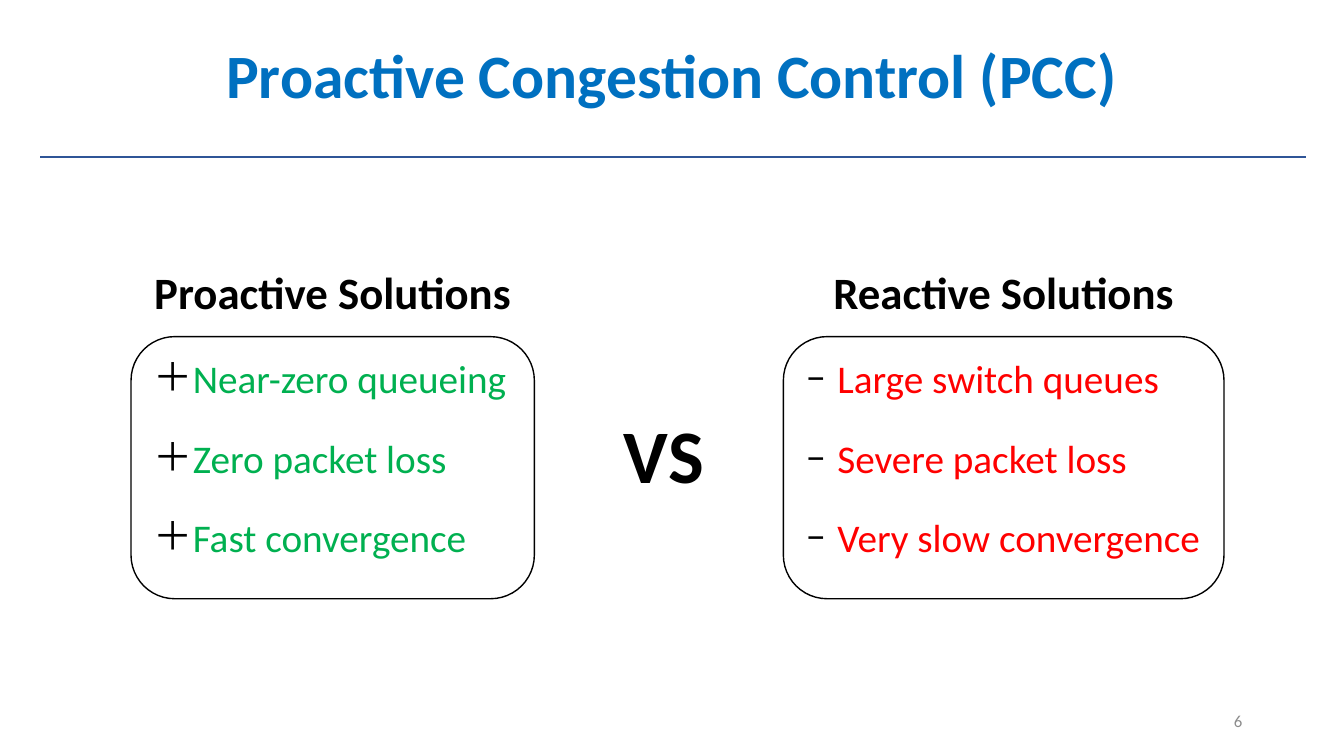
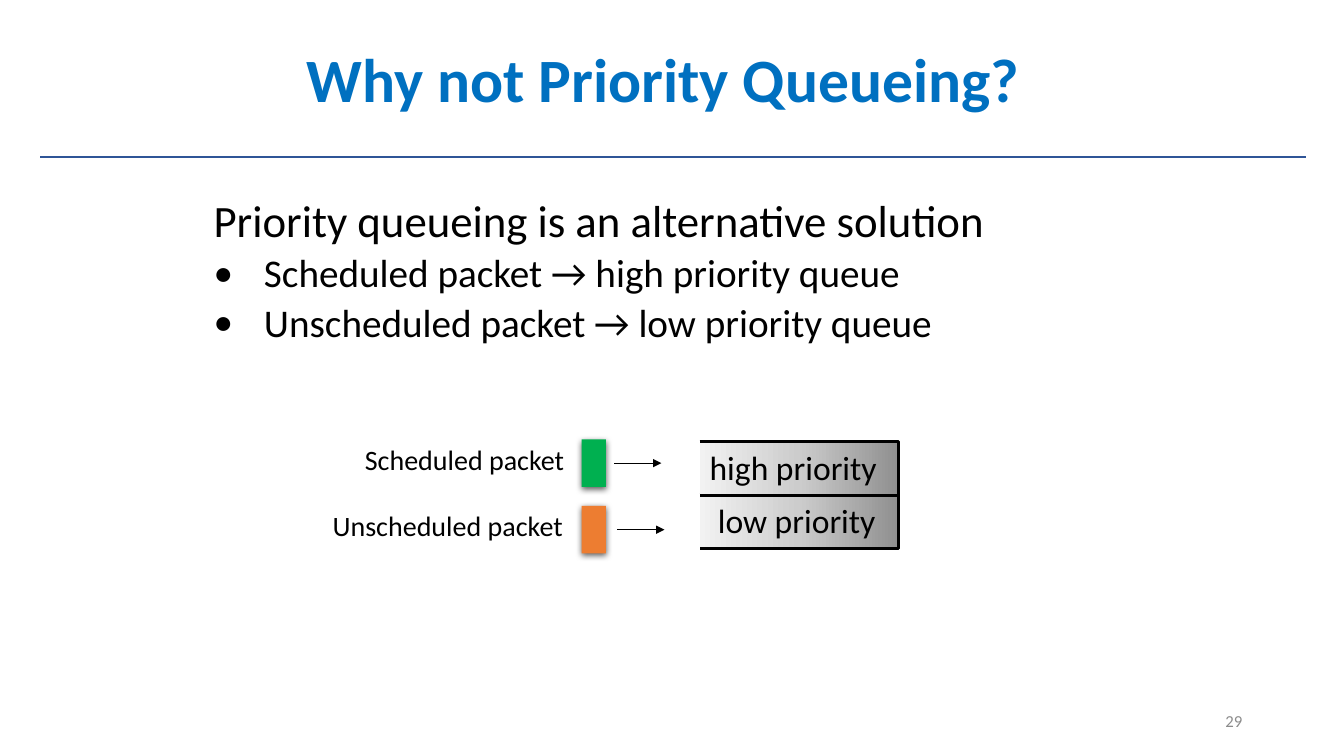
from lxml.etree import SubElement
from pptx import Presentation
from pptx.dml.color import RGBColor
from pptx.enum.shapes import MSO_CONNECTOR, MSO_SHAPE
from pptx.enum.text import MSO_ANCHOR, PP_ALIGN
from pptx.oxml.ns import qn
from pptx.util import Inches, Pt

FONT = "Calibri"
BLACK = "000000"
WHITE = "FFFFFF"
BLUE = "0070C0"
NAVY = "2F5597"
GREY = "8C8C8C"
GREEN = "00B050"
RED = "FF0000"
AMBER = "ED7D31"
FADE = [(0, "909090"), (50, "CCCCCC"), (100, "F2F2F2")]
LEFT = {"alignment": PP_ALIGN.LEFT}
MID = {"alignment": PP_ALIGN.CENTER}
TOP = {"vertical_anchor": MSO_ANCHOR.TOP, "word_wrap": True}
HALF = {"vertical_anchor": MSO_ANCHOR.MIDDLE, "word_wrap": True}
SNUG = {"vertical_anchor": MSO_ANCHOR.TOP, "word_wrap": False}


def tint(code):
    return RGBColor.from_string(code)


def assign(target, values):
    for name, value in values.items():
        setattr(target, name, value)


def node(parent, tag, **attrs):
    return SubElement(parent, qn(tag), attrs)


def paint(parent, code):
    return node(parent, "a:srgbClr", val=code)


def bullet(para, mark, hang):
    props = para._p.get_or_add_pPr()
    props.set("marL", str(Inches(hang)))
    props.set("indent", str(-Inches(hang)))
    paint(node(props, "a:buClr"), BLACK)
    node(props, "a:buFont", typeface=FONT)
    node(props, "a:buChar", char=mark)


def write(frame, lines, size, code=BLACK, bold=False, para=LEFT, body=TOP):
    assign(frame, body)
    made = []
    for index, line in enumerate(lines):
        item = frame.add_paragraph() if index else frame.paragraphs[0]
        assign(item, para)
        run = item.add_run()
        run.text = line
        assign(run.font, {"name": FONT, "size": Pt(size), "bold": bold})
        run.font.color.rgb = tint(code)
        made.append(item)
    return made


def label(slide, at, text, size, **style):
    box = slide.shapes.add_textbox(*map(Inches, at))
    return write(box.text_frame, [text], size, **style)


def line(slide, start, end, code, width, arrow=False):
    link = slide.shapes.add_connector(
        MSO_CONNECTOR.STRAIGHT, *map(Inches, start + end))
    link.line.color.rgb = tint(code)
    link.line.width = Pt(width)
    if arrow:
        node(link.line._get_or_add_ln(), "a:tailEnd", type="triangle")
    node(link._element.spPr, "a:effectLst")


def shape(slide, kind, at, code):
    item = slide.shapes.add_shape(kind, *map(Inches, at))
    item.shadow.inherit = False
    item.fill.solid()
    item.fill.fore_color.rgb = tint(code)
    item.line.fill.background()
    return item


def frame(deck, title, number, left, width, space):
    slide = deck.slides.add_slide(deck.slide_layouts[6])
    line(slide, (12.95, 1.56), (0.4, 1.56), NAVY, 1.5)
    label(slide, (left, 0, width, 1.55), title, 44, code=BLUE, bold=True,
          para={**MID, "line_spacing": space}, body=HALF)
    label(slide, (9.42, 6.95, 3, 0.4), number, 12, code=GREY,
          para={"alignment": PP_ALIGN.RIGHT}, body=HALF)
    return slide


def panel(slide, left, width, head, mark, hang, lines, code):
    box = shape(slide, MSO_SHAPE.ROUNDED_RECTANGLE,
                (left, 3.34, width, 2.6), WHITE)
    box.line.color.rgb = tint(BLACK)
    box.line.width = Pt(1)
    box.text_frame.margin_right = 0
    paras = write(box.text_frame, lines, 28, code=code)
    for index, para in enumerate(paras):
        bullet(para, mark, hang)
        if index:
            para.space_before = Pt(23.3)
    label(slide, (left, 2.58, width, 0.64), head, 32, bold=True, para=MID)


def packet(slide, top, code, name, left, width, start):
    item = shape(slide, MSO_SHAPE.RECTANGLE, (5.77, top, 0.24, 0.47), code)
    glow = node(item._element.spPr.find(qn("a:effectLst")), "a:outerShdw",
                blurRad=str(Pt(4.5)), dist=str(Pt(1.5)), dir="5400000",
                algn="ctr", rotWithShape="0")
    node(paint(glow, BLACK), "a:alpha", val="63000")
    level = top + 0.235
    line(slide, (start, level), (start + 0.47, level), BLACK, 0.5, arrow=True)
    label(slide, (left, top - 0.02, width, 0.44), name, 20, body=SNUG)


def queue(slide, top, text, inset):
    left, right, base = 6.94, 8.91, top + 0.535
    points = [(left, top), (right, top), (right, base), (left, base)]
    points = [tuple(map(Inches, point)) for point in points]
    build = slide.shapes.build_freeform(*points[0], scale=1.0)
    build.add_line_segments(points[1:], close=False)
    item = build.convert_to_shape()
    item.shadow.inherit = False
    item.fill.gradient()
    item.fill.gradient_angle = 180
    stops = item._element.spPr.find(qn("a:gradFill")).find(qn("a:gsLst"))
    stops.clear()
    for place, code in FADE:
        paint(node(stops, "a:gs", pos=str(place * 1000)), code)
    item.line.color.rgb = tint(BLACK)
    item.line.width = Pt(2.25)
    item.text_frame.margin_left = Inches(inset)
    write(item.text_frame, [text], 24, body=SNUG | {"word_wrap": True})


def versus(deck):
    slide = frame(deck, "Proactive Congestion Control (PCC)", "6",
                  0, 13.33, 0.9)
    panel(slide, 7.77, 4.37, "Reactive Solutions", "−", 0.31,
          ["Large switch queues", "Severe packet loss",
           "Very slow convergence"], RED)
    panel(slide, 1.3, 4, "Proactive Solutions", "＋", 0.38,
          ["Near-zero queueing", "Zero packet loss", "Fast convergence"],
          GREEN)
    label(slide, (6.09, 4, 1, 1.01), "VS", 54, bold=True, body=SNUG)


def ranking(deck):
    slide = frame(deck, "Why not Priority Queueing?", "29", 2.08, 9, 1.0)
    box = slide.shapes.add_textbox(*map(Inches, (2.02, 1.92, 9.3, 1.6)))
    tight = {**LEFT, "line_spacing": 0.9}
    write(box.text_frame, ["Priority queueing is an alternative solution"],
          32, para=tight)
    for text in ("Scheduled packet → high priority queue",
                 "Unscheduled packet → low priority queue"):
        para = box.text_frame.add_paragraph()
        assign(para, {**tight, "space_before": Pt(5)})
        run = para.add_run()
        run.text = text
        assign(run.font, {"name": FONT, "size": Pt(28)})
        run.font.color.rgb = tint(BLACK)
        bullet(para, "•", 0.5)
    queue(slide, 4.91, "low priority", 0.18)
    queue(slide, 4.38, "high priority", 0.1)
    packet(slide, 5.02, AMBER, "Unscheduled packet", 3.2, 2.51, 6.12)
    packet(slide, 4.36, GREEN, "Scheduled packet", 3.52, 2.2, 6.09)


def main():
    deck = Presentation()
    assign(deck, {"slide_width": Inches(13.33), "slide_height": Inches(7.5)})
    versus(deck)
    ranking(deck)
    deck.save("out.pptx")


if __name__ == "__main__":
    main()
